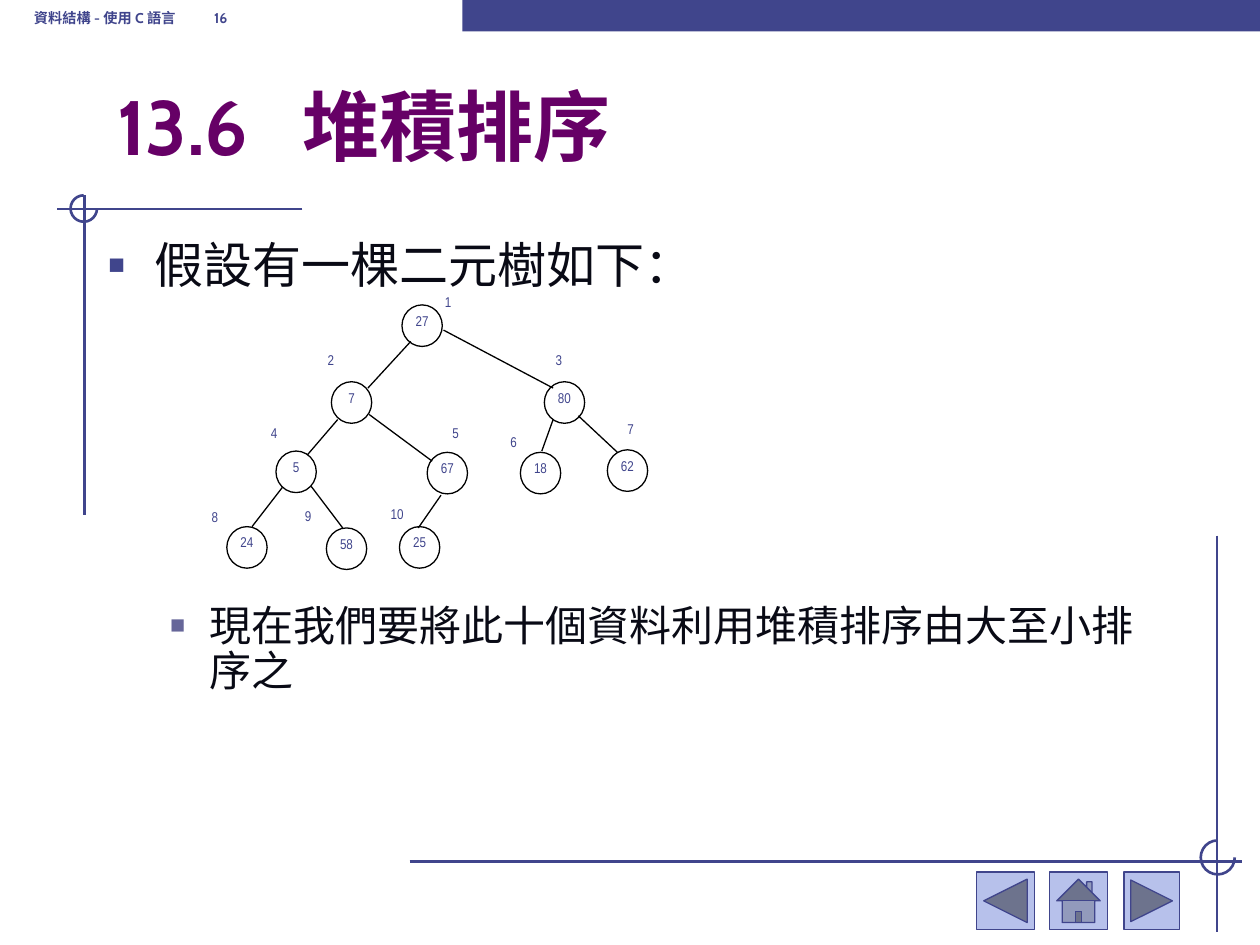
import pptx
import pptx.dml.color
import pptx.enum.shapes
import pptx.enum.text
import pptx.oxml
import pptx.oxml.ns
import pptx.util

Inches = pptx.util.Inches
Pt = pptx.util.Pt
SHAPE = pptx.enum.shapes.MSO_SHAPE
ANCHOR = pptx.enum.text.MSO_ANCHOR
ALIGN = pptx.enum.text.PP_ALIGN

NAVY = "40458C"
BLACK = "000000"
LABEL = {"size": Pt(14), "name": "Arial Narrow", "bold": False}
HEADER = {"size": Pt(14), "name": "Cabin", "bold": True}
TITLE = {"size": Pt(44), "name": "Cabin", "bold": True}

NODES = [
    ("27", 3.19, 2.42), ("7", 2.63, 3.03), ("80", 4.32, 3.03),
    ("5", 2.19, 3.58), ("67", 3.39, 3.59), ("18", 4.13, 3.59),
    ("62", 4.82, 3.57), ("24", 1.8, 4.18), ("58", 2.59, 4.19),
    ("25", 3.17, 4.18),
]
INDEXES = [
    (3.53, 2.32, 0.45), (2.6, 2.78, 0.36), (4.41, 2.78, 0.23),
    (2.15, 3.36, 0.36), (3.59, 3.36, 0.25), (4.05, 3.43, 0.36),
    (4.98, 3.33, 0.33), (1.68, 4.03, 0.33), (2.42, 4.02, 0.33),
    (3.1, 4, 0.27),
]
EDGES = [
    (2.92, 3.08, 3.26, 2.71), (3.52, 2.62, 4.39, 3.08),
    (4.59, 3.3, 4.9, 3.59), (4.39, 3.33, 4.3, 3.58),
    (2.93, 3.29, 3.43, 3.66), (2.68, 3.33, 2.44, 3.61),
    (3.5, 3.93, 3.32, 4.19), (2.47, 3.86, 2.72, 4.19),
    (2.24, 3.87, 2, 4.18),
]
FRAME_LINES = [
    (2.4, 1.66, 0.45, 1.66), (0.67, 1.55, 0.67, 4.09),
    (3.25, 6.84, 9.86, 6.84), (9.66, 4.25, 9.66, 7.4),
]
BUTTONS = [
    (SHAPE.ACTION_BUTTON_HOME, 8.33, 0.46),
    (SHAPE.ACTION_BUTTON_FORWARD_OR_NEXT, 8.92, 0.44),
    (SHAPE.ACTION_BUTTON_BACK_OR_PREVIOUS, 7.75, 0.46),
]
BULLETS = [
    ("假設有一棵二元樹如下：", 0, 28, 0, 0.38, -0.38, "▪", NAVY, 110),
    ("現在我們要將此十個資料利用堆積排序由大至小排序之",
     1, 24, 178, 0.81, -0.31, "■", "666699", 60),
]


def rgb(value):
    return pptx.dml.color.RGBColor.from_string(value)


def add_xml(parent, body):
    tag, rest = body.split(" ", 1)
    ns = pptx.oxml.ns.nsdecls("a")
    parent.append(pptx.oxml.parse_xml(f"<a:{tag} {ns} {rest}"))


def set_font(font, fmt, color):
    for key, value in fmt.items():
        setattr(font, key, value)
    font.color.rgb = rgb(color)


def place(s, *box):
    for key, value in zip(("left", "top", "width", "height"), box):
        setattr(s, key, Inches(value))


def add_line(shapes, ends, color, width):
    kind = pptx.enum.shapes.MSO_CONNECTOR.STRAIGHT
    s = shapes.add_connector(kind, *map(Inches, ends))
    s.line.color.rgb = rgb(color)
    s.line.width = Pt(width)
    add_xml(s._element.spPr, "effectLst />")


def add_shape(shapes, kind, box, fill=None, line=None, width=0.75):
    s = shapes.add_shape(kind, *map(Inches, box))
    s.shadow.inherit = False
    if fill:
        s.fill.solid()
        s.fill.fore_color.rgb = rgb(fill)
    else:
        s.fill.background()
    if line:
        s.line.color.rgb = rgb(line)
        s.line.width = Pt(width)
    else:
        s.line.fill.background()
    return s


def add_arc(shapes, x, y, size):
    s = add_shape(shapes, SHAPE.ARC, (x, y, size, size), line=NAVY, width=1.5)
    s.adjustments[0] = 0
    s.adjustments[1] = 270 * 0.6


def write_raised(p, text, fmt):
    r = p.add_run()
    r.text = text
    set_font(r.font, fmt, NAVY)
    r._r.get_or_add_rPr().set("baseline", "30000")


def write_label(s, text, align):
    tf = s.text_frame
    for side in ("left", "top", "right", "bottom"):
        setattr(tf, "margin_" + side, 0)
    tf.word_wrap = True
    tf.vertical_anchor = ANCHOR.TOP
    p = tf.paragraphs[0]
    p.alignment = align
    p.line_spacing = 0.96
    write_raised(p, text, LABEL)


def add_tab(p, position):
    add_xml(p._p.get_or_add_pPr(),
            f'tabLst ><a:tab pos="{Inches(position)}" algn="l"/></a:tabLst>')


def add_frame(shapes):
    for ends in FRAME_LINES:
        add_line(shapes, ends, NAVY, 1.5)
    add_arc(shapes, 0.56, 1.55, 0.21)
    add_arc(shapes, 9.53, 6.67, 0.27)
    add_shape(shapes, SHAPE.RECTANGLE, (3.67, 0, 6.33, 0.25), NAVY)
    for kind, x, width in BUTTONS:
        add_shape(shapes, kind, (x, 6.92, width, 0.46), "B7C1EB", NAVY)


def add_header(shapes):
    s = shapes.add_textbox(*map(Inches, (0.17, -0.17, 3.08, 0.5)))
    tf = s.text_frame
    tf.word_wrap = True
    tf.vertical_anchor = ANCHOR.BOTTOM
    p = tf.paragraphs[0]
    add_tab(p, 1.43)
    write_raised(p, "資料結構 - 使用 C 語言\t16", HEADER)


def fill_title(s):
    place(s, 0.83, 0.58, 8.5, 0.83)
    tf = s.text_frame
    tf.auto_size = pptx.enum.text.MSO_AUTO_SIZE.NONE
    tf.vertical_anchor = ANCHOR.BOTTOM
    p = tf.paragraphs[0]
    p.alignment = ALIGN.LEFT
    add_tab(p, 1.47)
    r = p.add_run()
    r.text = "13.6\t堆積排序"
    set_font(r.font, TITLE, "660066")


def fill_body(s):
    place(s, 0.75, 1.86, 8.41, 4.07)
    tf = s.text_frame
    tf.auto_size = pptx.enum.text.MSO_AUTO_SIZE.NONE
    for i, item in enumerate(BULLETS):
        text, level, size, before, margin, indent, char, color, scale = item
        p = tf.add_paragraph() if i else tf.paragraphs[0]
        p.level = level
        p.line_spacing = 0.9
        p.space_before = Pt(before)
        pPr = p._p.get_or_add_pPr()
        pPr.set("marL", str(Inches(margin)))
        pPr.set("indent", str(Inches(indent)))
        add_xml(pPr, f'buClr ><a:srgbClr val="{color}"/></a:buClr>')
        add_xml(pPr, f'buSzPct val="{scale * 1000}"/>')
        add_xml(pPr, 'buFont typeface="Arial"/>')
        add_xml(pPr, f'buChar char="{char}"/>')
        r = p.add_run()
        r.text = text
        set_font(r.font, {"size": Pt(size), "name": "Arial"}, "090A15")


def add_tree(shapes):
    for value, x, y in NODES:
        s = add_shape(shapes, SHAPE.OVAL, (x, y, 0.32, 0.33), line=BLACK)
        write_label(s, value, ALIGN.CENTER)
    for i, (x, y, width) in enumerate(INDEXES, 1):
        s = shapes.add_textbox(*map(Inches, (x, y, width, 0.28)))
        write_label(s, str(i), ALIGN.LEFT)
    for ends in EDGES:
        add_line(shapes, ends, BLACK, 0.75)


def main():
    prs = pptx.Presentation()
    prs.slide_width = Inches(10)
    prs.slide_height = Inches(7.5)
    slide = prs.slides.add_slide(prs.slide_layouts[1])
    add_frame(slide.shapes)
    add_header(slide.shapes)
    fill_title(slide.shapes.title)
    fill_body(slide.placeholders[1])
    add_tree(slide.shapes)
    prs.save("out.pptx")


if __name__ == "__main__":
    main()
